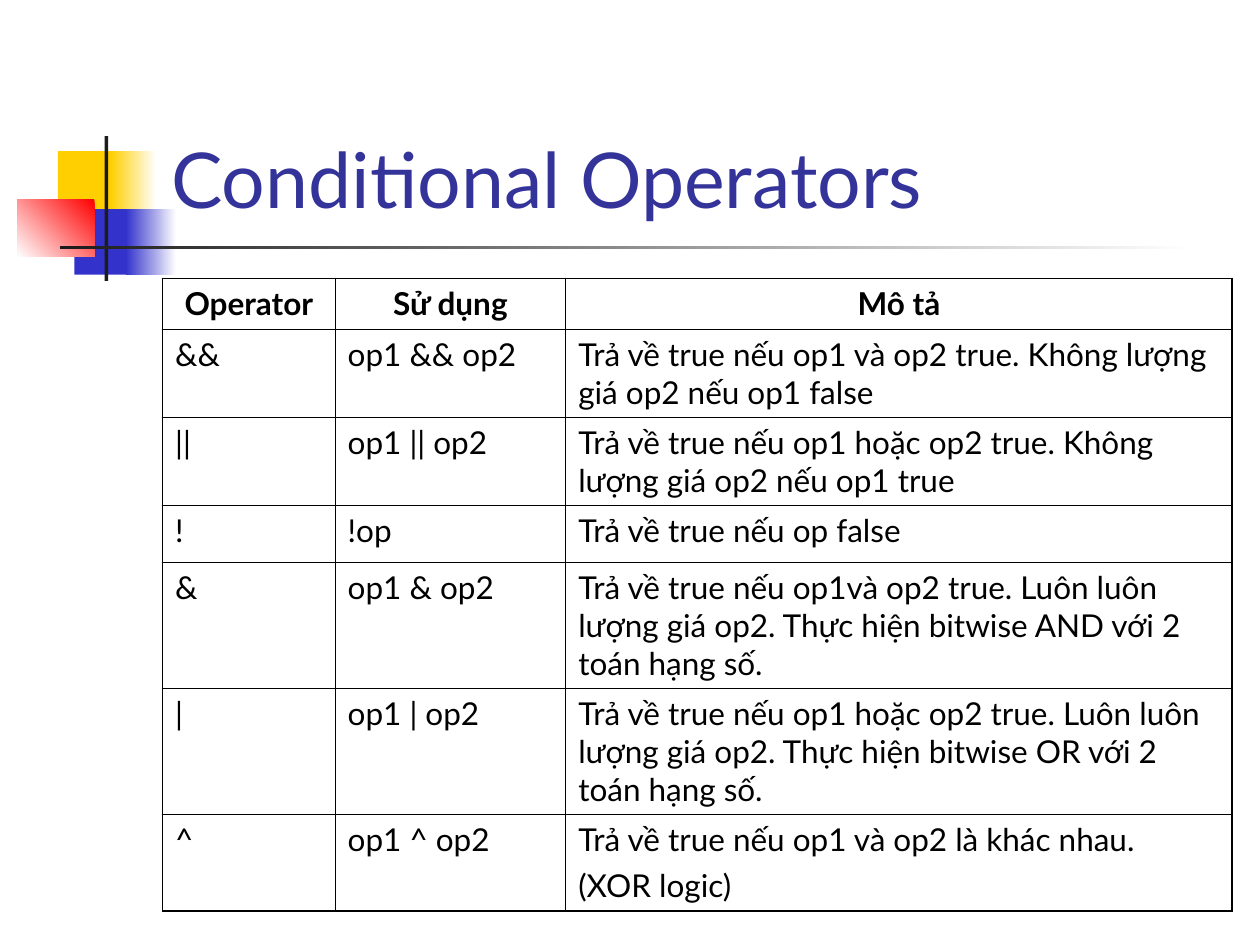
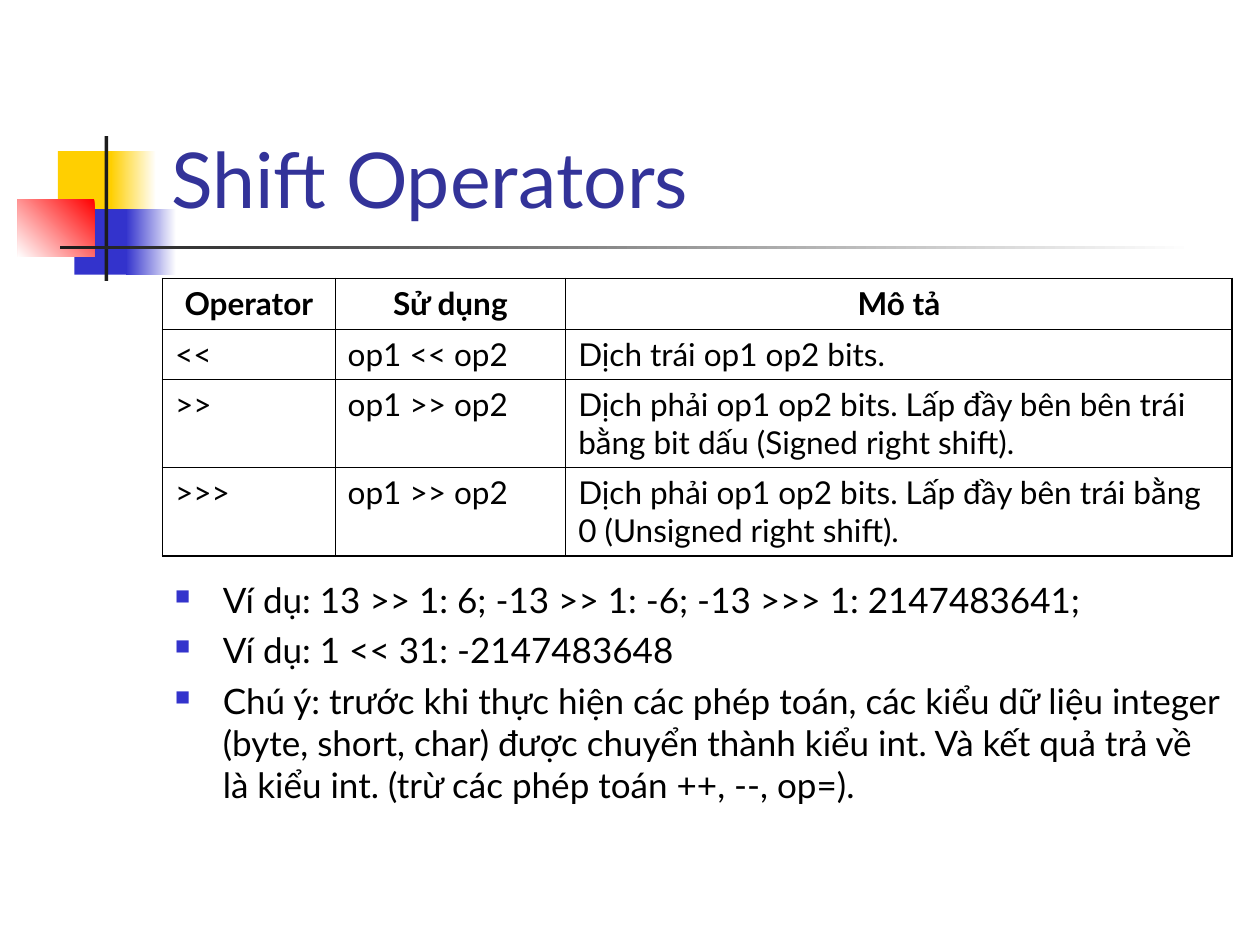
import pptx
import pptx.dml.color
import pptx.enum.shapes
import pptx.enum.text
import pptx.oxml.ns
import pptx.util
from lxml import etree

Inches, Pt = pptx.util.Inches, pptx.util.Pt
RGB = pptx.dml.color.RGBColor.from_string
ALIGN, ANCHOR = pptx.enum.text.PP_ALIGN, pptx.enum.text.MSO_ANCHOR
qn = pptx.oxml.ns.qn

COLORS = {"white": "FFFFFF", "yellow": "FFCF01", "blue": "3333CC", "red": "FF0000",
          "dark": "1C1C1C", "title": "333399", "text": "000000"}
FONT = "Lato"

# left, top, width, height, colours (two make a gradient), clockwise angle
MOTIF = [
    (0.46, 1.2, 0.48, 0.52, ["yellow"], 0),
    (0.88, 1.2, 0.36, 0.52, ["white", "yellow"], 180),
    (0.59, 1.66, 0.46, 0.52, ["blue"], 0),
    (1, 1.66, 0.4, 0.52, ["white", "blue"], 180),
    (0.14, 1.58, 0.61, 0.46, ["red", "white"], 135),
    (0.83, 1.08, 0.03, 1.15, ["dark"], 0),
    (0.48, 1.95, 9, 0.03, ["white", "dark"], 180),
]

COL_WIDTHS = [1.37, 1.83, 5.29]
HEADER = ("Operator", "Sử dụng", "Mô tả")
THIN, THICK = 0.45, 1.08

SLIDES = [
    {
        "title": "Conditional Operators",
        "row_heights": [0.4, 0.7, 0.7, 0.45, 1, 1, 0.77],
        "rows": [
            ("&&", "op1 && op2",
             "Trả về true nếu op1 và op2 true. Không lượng giá op2 nếu op1 false"),
            ("||", "op1 || op2",
             "Trả về true nếu op1 hoặc op2 true. Không lượng giá op2 nếu op1 true"),
            ("!", "!op", "Trả về true nếu op false"),
            ("&", "op1 & op2",
             "Trả về true nếu op1và op2 true. Luôn luôn lượng giá op2. "
             "Thực hiện bitwise AND với 2 toán hạng số."),
            ("|", "op1 | op2",
             "Trả về true nếu op1 hoặc op2 true. Luôn luôn lượng giá op2. "
             "Thực hiện bitwise OR với 2 toán hạng số."),
            ("^", "op1 ^ op2", "Trả về true nếu op1 và op2 là khác nhau.\n(XOR logic)"),
        ],
        "notes": [],
    },
    {
        "title": "Shift Operators",
        "row_heights": [0.4, 0.4, 0.7, 0.7],
        "rows": [
            ("<<", "op1 << op2", "Dịch trái op1 op2 bits."),
            (">>", "op1 >> op2",
             "Dịch phải op1 op2 bits. Lấp đầy bên bên trái bằng bit dấu (Signed right shift)."),
            (">>>", "op1 >> op2",
             "Dịch phải op1 op2 bits. Lấp đầy bên trái bằng 0 (Unsigned right shift)."),
        ],
        "notes": [
            "Ví dụ: 13 >> 1: 6; -13 >> 1: -6; -13 >>> 1: 2147483641;",
            "Ví dụ: 1 << 31: -2147483648",
            "Chú ý: trước khi thực hiện các phép toán, các kiểu dữ liệu integer (byte, short, char) "
            "được chuyển thành kiểu int. Và kết quả trả về là kiểu int. "
            "(trừ các phép toán ++, --, op=).",
        ],
    },
]


def add_bullet(p):
    pPr = p._p.get_or_add_pPr()
    pPr.set("marL", str(Inches(0.38)))
    pPr.set("indent", str(-Inches(0.38)))
    color = etree.SubElement(pPr, qn("a:buClr"))
    etree.SubElement(color, qn("a:srgbClr"), val=COLORS["blue"])
    etree.SubElement(pPr, qn("a:buSzPct"), val="60000")
    etree.SubElement(pPr, qn("a:buChar"), char="■")


def write(tf, text, size=18, color="text", bold=False, align=ALIGN.LEFT,
          before=0, bullet=False):
    """Fill a text frame, one paragraph for each line of text."""
    for i, line in enumerate(text.split("\n")):
        p = tf.add_paragraph() if i else tf.paragraphs[0]
        p.alignment = align
        p.space_before = Pt(before)
        if bullet:
            add_bullet(p)
        r = p.add_run()
        r.text = line
        r.font.name, r.font.size, r.font.bold = FONT, Pt(size), bold
        r.font.color.rgb = RGB(COLORS[color])


def add_text(s, box, text, anchor=ANCHOR.TOP, **fmt):
    tf = s.shapes.add_textbox(*map(Inches, box)).text_frame
    tf.word_wrap = True
    tf.vertical_anchor = anchor
    write(tf, text, **fmt)


def add_motif(s):
    for *box, colors, angle in MOTIF:
        sp = s.shapes.add_shape(pptx.enum.shapes.MSO_SHAPE.RECTANGLE, *map(Inches, box))
        sp.shadow.inherit = False
        sp.line.fill.background()
        if len(colors) == 1:
            sp.fill.solid()
            sp.fill.fore_color.rgb = RGB(COLORS[colors[0]])
            continue
        sp.fill.gradient()
        sp.fill.gradient_angle = 360 - angle
        for stop, name, position in zip(sp.fill.gradient_stops, colors, (0, 1)):
            stop.color.rgb = RGB(COLORS[name])
            stop.position = position


def set_borders(cell, outer_sides):
    tcPr = cell._tc.get_or_add_tcPr()
    for side in "LRTB":
        width = THICK if side in outer_sides else THIN
        ln = etree.SubElement(tcPr, qn("a:ln" + side), w=str(Pt(width)))
        fill = etree.SubElement(ln, qn("a:solidFill"))
        etree.SubElement(fill, qn("a:srgbClr"), val=COLORS["text"])


def add_operator_table(s, rows, row_heights):
    rows = [HEADER] + rows
    last_row, last_col = len(rows) - 1, len(HEADER) - 1
    table = s.shapes.add_table(len(rows), len(HEADER), Inches(1.29), Inches(2.21),
                               Inches(sum(COL_WIDTHS)), Inches(sum(row_heights))).table
    table.first_row = table.horz_banding = False
    for col, width in zip(table.columns, COL_WIDTHS):
        col.width = Inches(width)
    for i, (values, height) in enumerate(zip(rows, row_heights)):
        table.rows[i].height = Inches(height)
        for j, value in enumerate(values):
            cell = table.cell(i, j)
            edges = {"L": j == 0, "R": j == last_col, "T": i == 0, "B": i == last_row}
            set_borders(cell, [side for side, outer in edges.items() if outer])
            cell.fill.background()
            write(cell.text_frame, value, bold=i == 0, before=4.5,
                  align=ALIGN.LEFT if i else ALIGN.CENTER)


def main():
    prs = pptx.Presentation()
    prs.slide_width, prs.slide_height = Inches(10), Inches(7.5)
    for content in SLIDES:
        s = prs.slides.add_slide(prs.slide_layouts[6])
        add_motif(s)
        add_text(s, (1.26, 0.23, 8.52, 1.6), content["title"], anchor=ANCHOR.BOTTOM,
                 size=44, color="title")
        add_operator_table(s, content["rows"], content["row_heights"])
        if content["notes"]:
            add_text(s, (1.29, 4.54, 8.5, 2.17), "\n".join(content["notes"]),
                     size=20, before=5, bullet=True)
    prs.save("out.pptx")


if __name__ == "__main__":
    main()
